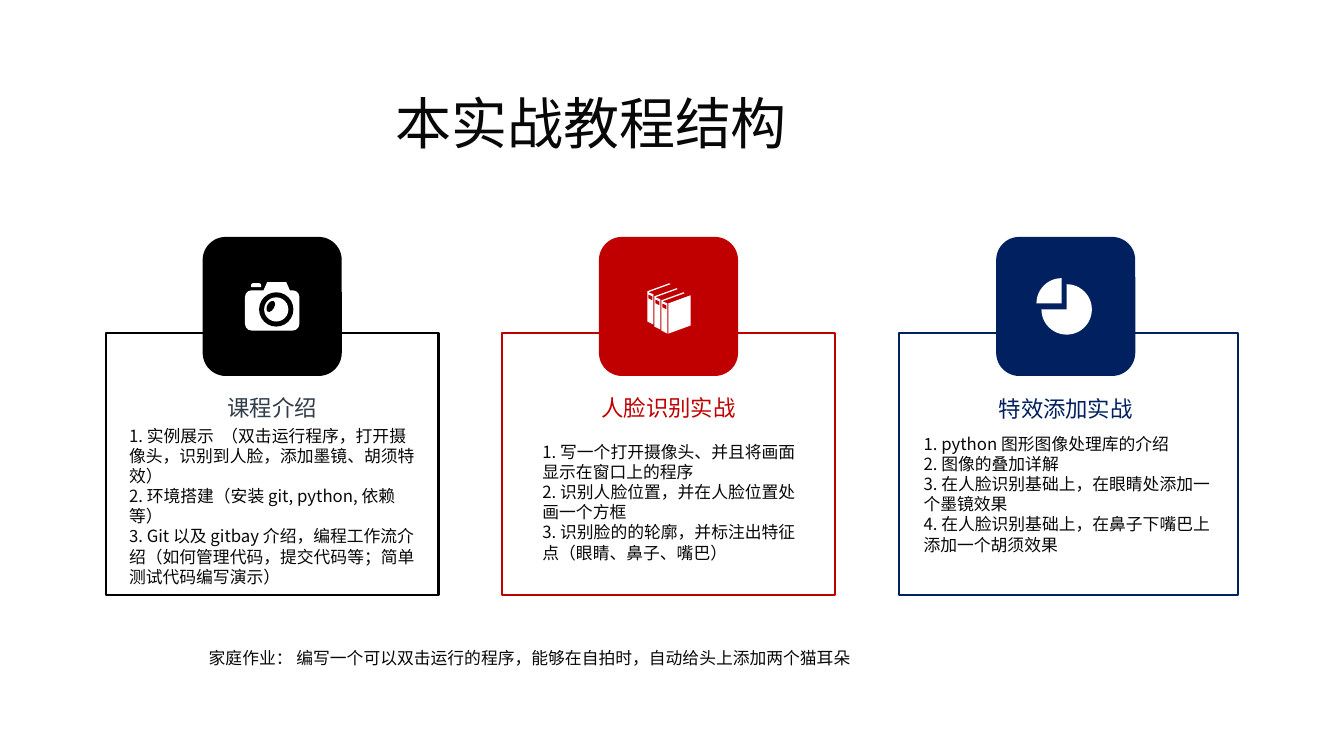
from lxml import etree
from pptx import Presentation
from pptx import util as u
from pptx.dml.color import RGBColor
from pptx.enum import shapes, text
from pptx.oxml import ns

PX = 9144
FONT = "Noto Sans CJK SC"
COLORS = {"ink": "080808", "slate": "2F3C4A", "black": "000000",
          "red": "C00000", "navy": "002060", "white": "FFFFFF"}

TITLE = ("本实战教程结构", (382, 83, 561, 76))
HOMEWORK = ("家庭作业： 编写一个可以双击运行的程序，能够在自拍时，自动给头上添加两个猫耳朵",
            (197, 638, 922, 29))
CARDS = [
    {"heading": "课程介绍", "color": "black", "heading_color": "slate",
     "left": 105, "width": 330, "heading_top": 386, "list_box": (118, 417, 307, 169),
     "steps": ["1. 实例展示  （双击运行程序，打开摄像头，识别到人脸，添加墨镜、胡须特效）",
               "2. 环境搭建（安装 git, python, 依赖等）",
               "3. Git 以及 gitbay 介绍，编程工作流介绍（如何管理代码，提交代码等；简单测试代码编写演示）"]},
    {"heading": "人脸识别实战", "color": "red", "heading_color": "red",
     "left": 498, "width": 330, "heading_top": 386, "list_box": (528, 433, 283, 129),
     "steps": ["1. 写一个打开摄像头、并且将画面显示在窗口上的程序",
               "2. 识别人脸位置，并在人脸位置处画一个方框",
               "3. 识别脸的的轮廓，并标注出特征点（眼睛、鼻子、嘴巴）"]},
    {"heading": "特效添加实战", "color": "navy", "heading_color": "navy",
     "left": 892, "width": 336, "heading_top": 387, "list_box": (906, 425, 315, 129),
     "steps": ["1. python 图形图像处理库的介绍",
               "2. 图像的叠加详解",
               "3. 在人脸识别基础上，在眼睛处添加一个墨镜效果",
               "4. 在人脸识别基础上，在鼻子下嘴巴上添加一个胡须效果"]},
]
CARD_TOP, CARD_HEIGHT = 330, 260
BADGE_TOP, BADGE_SIZE, BADGE_INSET = 235, 138, 96
HEADING_INSET, HEADING_WIDTH, HEADING_HEIGHT = 41, 248, 36

BINDER = [(642, 289), (664, 281), (665, 282), (643, 290), (648, 292), (648, 322), (642, 319)]
BINDER_LABEL = [(643, 292), (647, 294), (647, 298), (643, 296)]
BINDER_COVER = [(663, 301), (663, 331), (685, 323), (685, 293)]
BINDER_SHIFTS = [(0, 0), (7, 5), (14, 9)]
CAMERA_HOUSING = [(265, 280), (284, 280), (288, 289), (261, 289)]

prs = Presentation()
prs.slide_width, prs.slide_height = 1333 * PX, 750 * PX
slide = prs.slides.add_slide(prs.slide_layouts[4])


def rgb(color):
    return RGBColor.from_string(COLORS[color])


def place(part, box):
    part.left, part.top, part.width, part.height = (n * PX for n in box)


def write(part, box, lines, size, color, align=text.PP_ALIGN.LEFT):
    place(part, box)
    frame = part.text_frame
    frame.word_wrap = True
    frame.auto_size = text.MSO_AUTO_SIZE.NONE
    frame.vertical_anchor = text.MSO_ANCHOR.TOP
    for i, line in enumerate(lines):
        paragraph = frame.paragraphs[0] if i == 0 else frame.add_paragraph()
        paragraph.alignment = align
        paragraph.space_before = u.Pt(0)
        paragraph.line_spacing = u.Pt(size * 1.2)
        properties = paragraph._p.get_or_add_pPr()
        properties.set("marL", "0")
        properties.set("indent", "0")
        etree.SubElement(properties, ns.qn("a:buNone"))
        run = paragraph.add_run()
        run.text = line
        run.font.size, run.font.bold, run.font.name = u.Pt(size), False, FONT
        run.font.color.rgb = rgb(color)
        etree.SubElement(run._r.get_or_add_rPr(), ns.qn("a:ea"), typeface=FONT)


def paint(part, color):
    part.shadow.inherit = False
    part.fill.solid()
    part.fill.fore_color.rgb = rgb(color)
    part.line.fill.background()
    return part


def solid(kind, box, color):
    return paint(slide.shapes.add_shape(kind, *(n * PX for n in box)), color)


def outline(contours, color):
    builder = None
    for points in contours:
        if builder is None:
            builder = slide.shapes.build_freeform(*points[0], scale=PX)
        else:
            builder.move_to(*points[0])
        builder.add_line_segments(points[1:], close=True)
    return paint(builder.convert_to_shape(), color)


def draw_camera():
    solid(shapes.MSO_SHAPE.ROUNDED_RECTANGLE, (243, 288, 54, 40), "white")
    outline([CAMERA_HOUSING], "white")
    flash = solid(shapes.MSO_SHAPE.ROUND_2_SAME_RECTANGLE, (249, 281, 10, 4), "white")
    flash.adjustments[0] = 0.5
    for box, color in [((257, 290, 34, 34), "black"), ((262, 295, 24, 24), "white")]:
        solid(shapes.MSO_SHAPE.OVAL, box, color)
    glint = solid(shapes.MSO_SHAPE.OVAL, (265, 298, 7, 12), "black")
    glint.rotation = 30


def draw_binders():
    contours = [[(x + dx, y + dy) for x, y in points]
                for dx, dy in BINDER_SHIFTS for points in (BINDER, BINDER_LABEL)]
    outline(contours + [BINDER_COVER], "white")


def draw_pie():
    for box, start, end in [((1033, 282, 50, 50), 162, 108), ((1028, 276, 50, 50), 108, 162)]:
        sector = solid(shapes.MSO_SHAPE.PIE, box, "white")
        sector.adjustments[0], sector.adjustments[1] = start, end


title, *bodies = slide.placeholders
write(title, TITLE[1], [TITLE[0]], 40, "ink")
write(bodies[3], HOMEWORK[1], [HOMEWORK[0]], 12, "ink")

for card, steps, draw_icon in zip(CARDS, bodies, (draw_camera, draw_binders, draw_pie)):
    left = card["left"]
    frame = solid(shapes.MSO_SHAPE.RECTANGLE,
                  (left, CARD_TOP, card["width"], CARD_HEIGHT), "white")
    frame.fill.background()
    frame.line.color.rgb = rgb(card["color"])
    frame.line.width = u.Pt(1.5)
    solid(shapes.MSO_SHAPE.ROUNDED_RECTANGLE,
          (left + BADGE_INSET, BADGE_TOP, BADGE_SIZE, BADGE_SIZE), card["color"])
    heading_box = (left + HEADING_INSET, card["heading_top"], HEADING_WIDTH, HEADING_HEIGHT)
    write(slide.shapes.add_textbox(0, 0, 0, 0), heading_box, [card["heading"]],
          16, card["heading_color"], text.PP_ALIGN.CENTER)
    write(steps, card["list_box"], card["steps"], 12, "ink")
    draw_icon()

prs.save("out.pptx")
